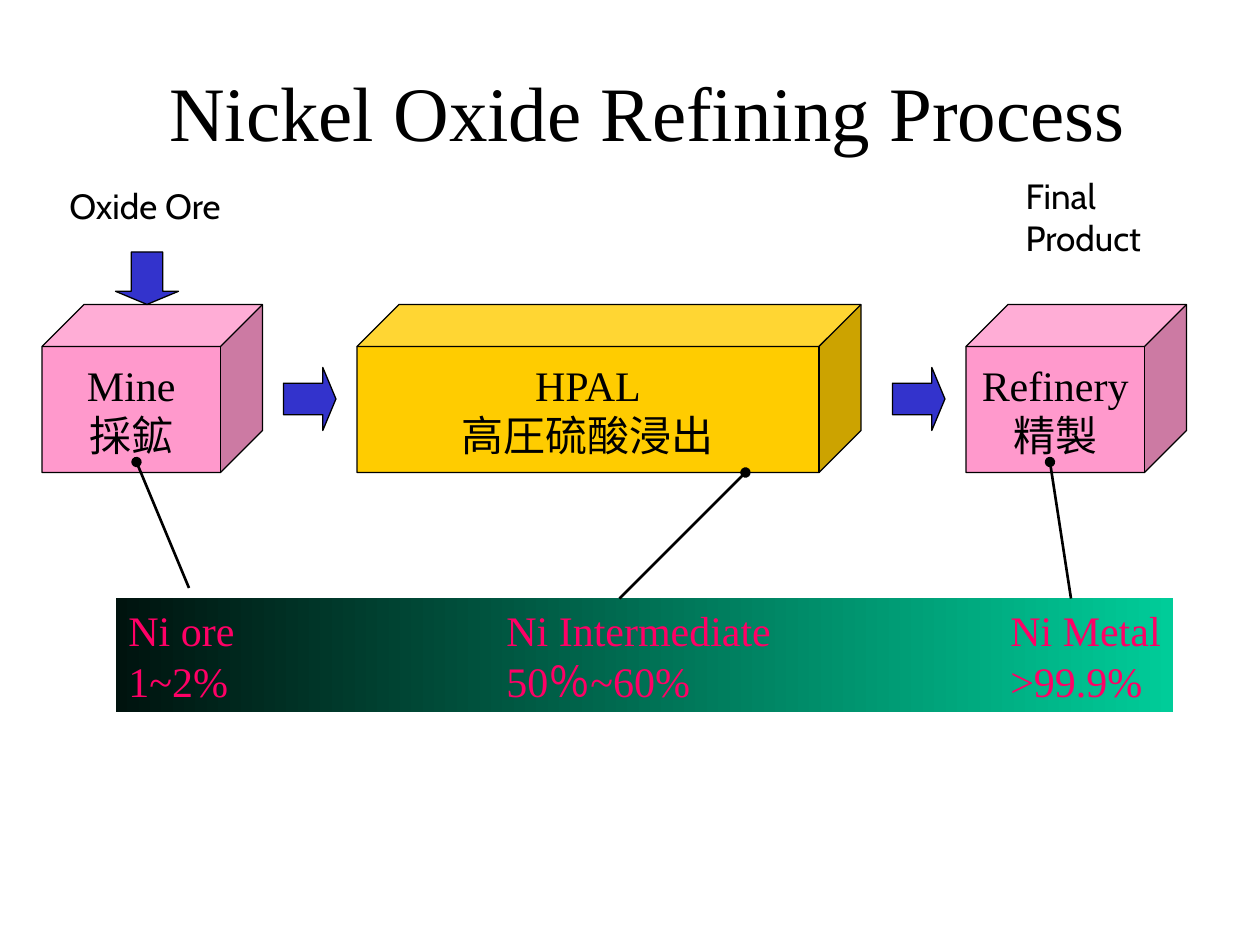
from dataclasses import dataclass

from lxml.etree import SubElement
from pptx import Presentation
from pptx.dml.color import RGBColor
from pptx.enum.shapes import MSO_CONNECTOR, MSO_SHAPE
from pptx.enum.text import MSO_ANCHOR, MSO_AUTO_SIZE, PP_ALIGN
from pptx.oxml.ns import qn
from pptx.shapes.autoshape import Shape
from pptx.slide import Slide
from pptx.text.text import TextFrame
from pptx.util import Pt

COLORS = {
    "black": "000000",
    "pink": "FF99CC",
    "yellow": "FFCC00",
    "blue": "3333CC",
    "green": "00CC99",
    "dark_green": "00130E",
    "red": "FF0066",
}
SERIF = "Times New Roman"
SANS = "Cabin"
TAB_STEP = 72
TAB_COUNT = 8
STAGE_TOP = 174
STAGE_HEIGHT = 96


@dataclass(frozen=True)
class Style:
    font: str
    size: float
    color: str = "black"
    align: PP_ALIGN = PP_ALIGN.LEFT


@dataclass(frozen=True)
class Stage:
    left: float
    width: float
    color: str
    lines: tuple[str, ...]


@dataclass(frozen=True)
class Label:
    left: float
    top: float
    width: float
    height: float
    lines: tuple[str, ...]


@dataclass(frozen=True)
class Arrow:
    left: float
    top: float
    rotation: float = 0


@dataclass(frozen=True)
class Leader:
    start: tuple[float, float]
    end: tuple[float, float]


TITLE_STYLE = Style(SERIF, 44, align=PP_ALIGN.CENTER)
LABEL_STYLE = Style(SANS, 20)
STAGE_STYLE = Style(SERIF, 24, align=PP_ALIGN.CENTER)
GRADE_STYLE = Style(SERIF, 24, "red")

LABELS = (
    Label(579, 96, 88.5, 55.5, ("Final", "Product")),
    Label(32.5, 102, 109.5, 31.5, ("Oxide Ore",)),
)
STAGES = (
    Stage(24, 126, "pink", ("Mine", "採鉱")),
    Stage(204, 288, "yellow", ("HPAL", "高圧硫酸浸出")),
    Stage(552, 126, "pink", ("Refinery", "精製")),
)
ARROWS = (Arrow(162, 210), Arrow(510, 210), Arrow(69, 141, 90))
LEADERS = (
    Leader((108, 336), (78, 264)),
    Leader((354, 342), (426, 270)),
    Leader((612, 342), (600, 264)),
)
GRADES = (
    "Ni ore\t\t\tNi Intermediate\t\tNi Metal",
    "1~2%\t\t\t50％~60%\t\t\t>99.9%",
)


def rgb(name: str) -> RGBColor:
    return RGBColor.from_string(COLORS[name])


def write_lines(frame: TextFrame, lines: tuple[str, ...], style: Style) -> None:
    for index, line in enumerate(lines):
        paragraph = frame.paragraphs[0] if index == 0 else frame.add_paragraph()
        paragraph.alignment = style.align
        if "\t" in line:
            tab_list = SubElement(paragraph._p.get_or_add_pPr(), qn("a:tabLst"))
            for stop in range(TAB_COUNT):
                SubElement(tab_list, qn("a:tab"), pos=str(Pt(stop * TAB_STEP)), algn="l")
        run = paragraph.add_run()
        run.text = line
        run.font.name = style.font
        run.font.size = Pt(style.size)
        run.font.color.rgb = rgb(style.color)


def add_solid(slide: Slide, kind: MSO_SHAPE, left: float, top: float,
              width: float, height: float, color: str) -> Shape:
    shape = slide.shapes.add_shape(kind, Pt(left), Pt(top), Pt(width), Pt(height))
    shape.shadow.inherit = False
    shape.fill.solid()
    shape.fill.fore_color.rgb = rgb(color)
    shape.line.color.rgb = rgb("black")
    shape.line.width = Pt(0.75)
    return shape


def add_title(slide: Slide) -> None:
    title = slide.shapes.title
    title.left, title.top, title.width, title.height = Pt(42), Pt(36), Pt(612), Pt(54)
    frame = title.text_frame
    frame.word_wrap = True
    frame.auto_size = MSO_AUTO_SIZE.NONE
    frame.vertical_anchor = MSO_ANCHOR.MIDDLE
    write_lines(frame, ("　Nickel Oxide Refining Process",), TITLE_STYLE)


def add_label(slide: Slide, label: Label) -> None:
    box = slide.shapes.add_textbox(
        Pt(label.left), Pt(label.top), Pt(label.width), Pt(label.height))
    frame = box.text_frame
    frame.word_wrap = False
    frame.auto_size = MSO_AUTO_SIZE.SHAPE_TO_FIT_TEXT
    write_lines(frame, label.lines, LABEL_STYLE)


def add_grade_bar(slide: Slide) -> None:
    bar = slide.shapes.add_shape(
        MSO_SHAPE.RECTANGLE, Pt(66.25), Pt(342), Pt(604), Pt(64.75))
    bar.shadow.inherit = False
    bar.line.fill.background()
    bar.fill.gradient()
    bar.fill.gradient_angle = 180
    for stop, color in zip(bar.fill.gradient_stops, ("green", "dark_green")):
        stop.color.rgb = rgb(color)
    frame = bar.text_frame
    frame.word_wrap = True
    frame.auto_size = MSO_AUTO_SIZE.NONE
    frame.margin_right = Pt(0)
    frame.vertical_anchor = MSO_ANCHOR.TOP
    write_lines(frame, GRADES, GRADE_STYLE)


def add_stage(slide: Slide, stage: Stage) -> None:
    cube = add_solid(slide, MSO_SHAPE.CUBE, stage.left, STAGE_TOP,
                     stage.width, STAGE_HEIGHT, stage.color)
    cube.adjustments[0] = 0.25
    frame = cube.text_frame
    frame.word_wrap = False
    frame.vertical_anchor = MSO_ANCHOR.MIDDLE
    write_lines(frame, stage.lines, STAGE_STYLE)


def add_arrow(slide: Slide, arrow: Arrow) -> None:
    shape = add_solid(slide, MSO_SHAPE.RIGHT_ARROW, arrow.left, arrow.top, 30, 36, "blue")
    shape.adjustments[0] = 0.5
    shape.adjustments[1] = 0.25
    shape.rotation = arrow.rotation


def add_leader(slide: Slide, leader: Leader) -> None:
    points = [Pt(value) for value in leader.start + leader.end]
    connector = slide.shapes.add_connector(MSO_CONNECTOR.STRAIGHT, *points)
    connector.line.color.rgb = rgb("black")
    connector.line.width = Pt(1.5)
    SubElement(connector.line._get_or_add_ln(), qn("a:tailEnd"), type="oval")
    SubElement(connector._element.spPr, qn("a:effectLst"))


def main() -> None:
    presentation = Presentation()
    presentation.slide_width, presentation.slide_height = Pt(720), Pt(540)
    slide = presentation.slides.add_slide(presentation.slide_layouts[5])
    add_title(slide)
    for label in LABELS:
        add_label(slide, label)
    add_grade_bar(slide)
    for stage in STAGES:
        add_stage(slide, stage)
    for arrow in ARROWS:
        add_arrow(slide, arrow)
    for leader in LEADERS:
        add_leader(slide, leader)
    presentation.save("out.pptx")


if __name__ == "__main__":
    main()
